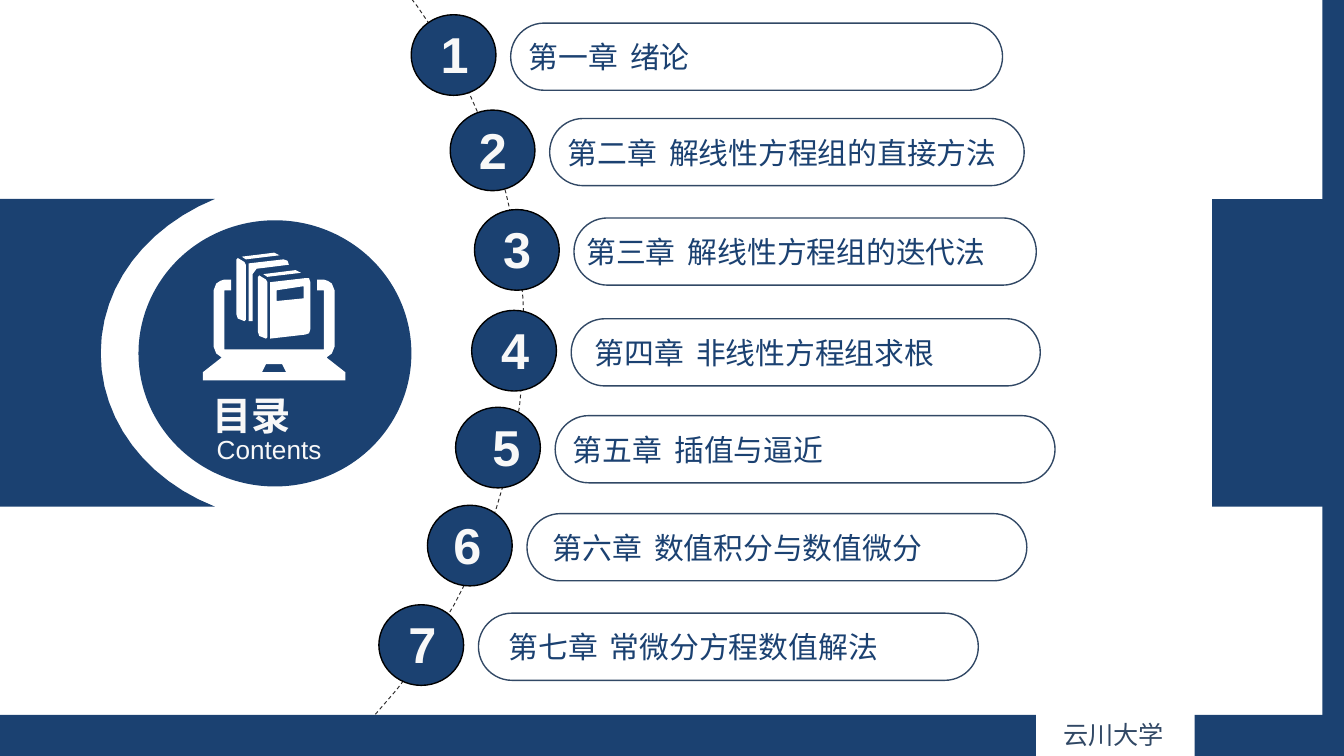
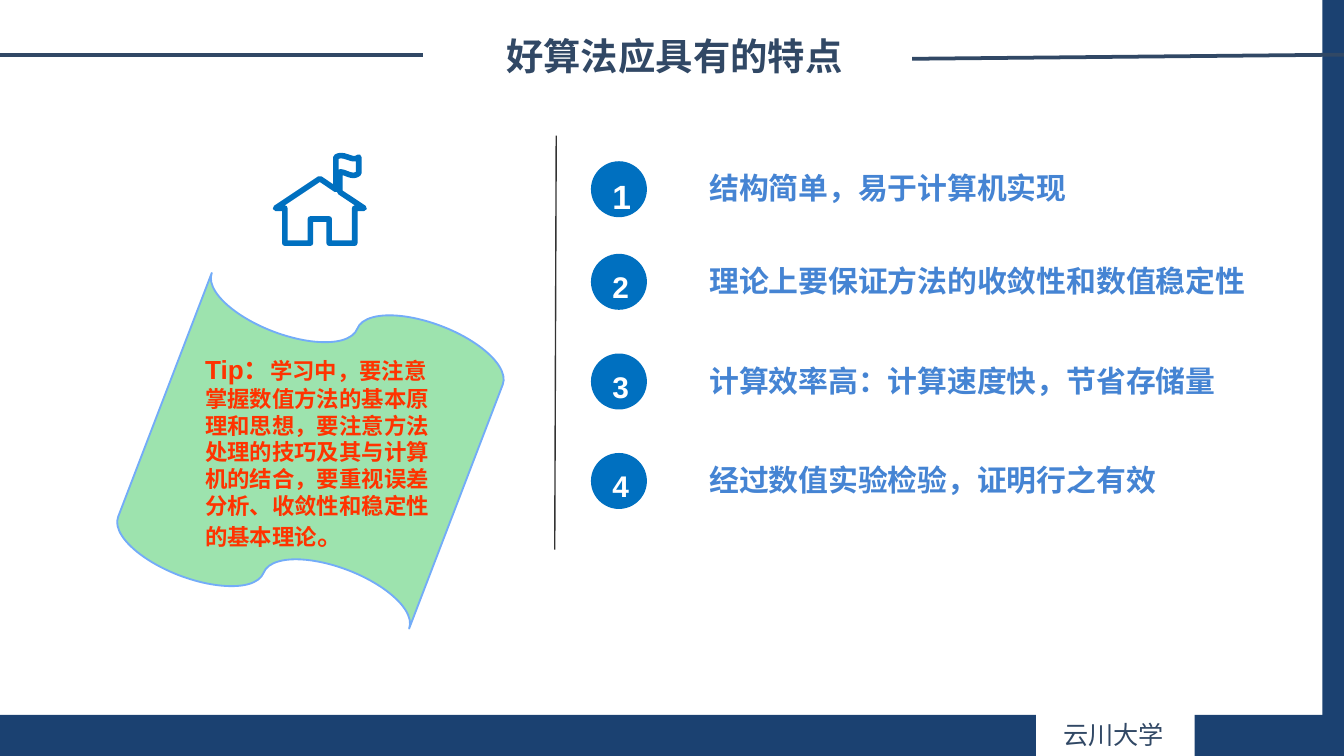
from lxml import etree
from pptx import Presentation
from pptx.dml.color import RGBColor
from pptx.enum.dml import MSO_LINE
from pptx.enum.shapes import MSO_CONNECTOR, MSO_SHAPE
from pptx.enum.text import MSO_ANCHOR, MSO_AUTO_SIZE, PP_ALIGN
from pptx.oxml.ns import qn
from pptx.util import Pt

RECTANGLE = MSO_SHAPE.RECTANGLE
PILL = MSO_SHAPE.ROUNDED_RECTANGLE
OVAL = MSO_SHAPE.OVAL
TAPE = MSO_SHAPE.FLOWCHART_PUNCHED_TAPE
STRAIGHT = MSO_CONNECTOR.STRAIGHT
DASH = MSO_LINE.DASH
TOP = MSO_ANCHOR.TOP
GROW = MSO_AUTO_SIZE.SHAPE_TO_FIT_TEXT
LEFT = PP_ALIGN.LEFT
CENTER = PP_ALIGN.CENTER

NAVY = RGBColor(0x1B, 0x41, 0x71)
SLATE = RGBColor(0x31, 0x48, 0x65)
BLUE = RGBColor(0x00, 0x70, 0xC0)
SKY = RGBColor(0x45, 0x84, 0xD3)
PALE_BLUE = RGBColor(0x73, 0xAC, 0xF8)
GREEN = RGBColor(0x9D, 0xE3, 0xAE)
RED = RGBColor(0xFF, 0x33, 0x00)
WHITE = RGBColor(0xFF, 0xFF, 0xFF)
OFF_WHITE = RGBColor(0xF8, 0xF8, 0xF8)
BLACK = RGBColor(0x00, 0x00, 0x00)
CHARCOAL = RGBColor(0x2E, 0x2C, 0x2C)
DARK_GRAY = RGBColor(0x33, 0x33, 0x33)

LATIN = "Arial"
CHINESE = "Noto Sans CJK SC"
SLIDE_WIDTH, SLIDE_HEIGHT = 720, 405
GRID = 0.72
CURVE_STEPS = 12
TIGHT = {"margin_left": Pt(6.75), "margin_right": Pt(6.75),
         "margin_top": Pt(3.4), "margin_bottom": Pt(3.4)}
ONE_LINE = {"word_wrap": False, "auto_size": GROW}
WRAPPED = {"word_wrap": True, "auto_size": GROW}


def paint(shape, fill=None, line=None, width=0.75):
    shape.shadow.inherit = False
    if fill is None:
        shape.fill.background()
    else:
        shape.fill.solid()
        shape.fill.fore_color.rgb = fill
    if line is None:
        shape.line.fill.background()
    else:
        shape.line.color.rgb = line
        shape.line.width = Pt(width)
    return shape


def write(shape, runs, color, frame, bold=False, font=LATIN, alignment=LEFT):
    for name, value in ({"vertical_anchor": TOP} | frame).items():
        setattr(shape.text_frame, name, value)
    paragraph = shape.text_frame.paragraphs[0]
    paragraph.alignment = alignment
    for text, size in runs:
        run = paragraph.add_run()
        run.text = text
        for name, value in {"size": Pt(size), "bold": bold, "name": font}.items():
            setattr(run.font, name, value)
        run.font.color.rgb = color
    for (text, size), properties in zip(runs, shape.element.iter(qn("a:rPr"))):
        etree.SubElement(properties, qn("a:ea")).set("typeface", CHINESE)
        if text == " ":
            properties.set("spc", "290")


presentation = Presentation()
presentation.slide_width = Pt(SLIDE_WIDTH)
presentation.slide_height = Pt(SLIDE_HEIGHT)
layout = presentation.slide_layouts[6]
for placeholder in list(layout.placeholders):
    layout.shapes.element.remove(placeholder.element)
contents = presentation.slides.add_slide(layout)
features = presentation.slides.add_slide(layout)

side_width, band_top = 11.5, 383
gap_left, gap_right = 555, 640
shared = []
for left, top, right in [
    (SLIDE_WIDTH - side_width, 0, SLIDE_WIDTH),
    (0, band_top, gap_left),
    (gap_right, band_top, SLIDE_WIDTH),
]:
    band = contents.shapes.add_shape(
        RECTANGLE, Pt(left), Pt(top), Pt(right - left), Pt(SLIDE_HEIGHT - top))
    shared.append(paint(band, NAVY))
footer = contents.shapes.add_textbox(Pt(562.6), Pt(381.6), Pt(69), Pt(23.8))
write(footer, [("云川大学", 13.5)], SLATE, ONE_LINE, font=CHINESE)
shared.append(footer)
for shape in shared:
    layout.shapes.element.append(shape.element)

block_left, block_top, block_height = 649.4, 106.6, 164.9
side_block = contents.shapes.add_shape(
    RECTANGLE, Pt(block_left), Pt(block_top), Pt(SLIDE_WIDTH - block_left), Pt(block_height))
paint(side_block, NAVY)
medallion = contents.shapes.add_shape(OVAL, Pt(74.2), Pt(118), Pt(146.2), Pt(142.6))
paint(medallion, NAVY)

crescent = [(160, 377), (0, 377), (0, 148), (160, 148),
            (109, 169, 75, 212, 75, 263), (75, 313, 109, 357, 160, 377)]
arc = [(278, -35), (348, 41, 390, 140, 390, 249), (390, 357, 348, 457, 278, 533)]

top_edge = [(180, 191), (183, 193), (208, 190), (204, 188)]
spine = [(177, 192), (182, 195), (183, 197), (183, 238), (182, 239), (177, 237),
         (176, 234), (176, 193)]
books = [
    [(x + shift_x, y + shift_y) for x, y in part]
    for shift_x, shift_y in [(0, 0), (16, 13)]
    for part in (top_edge, spine)
]
rear_cover = [(185, 196), (211, 193), (214, 194), (215, 197), (191, 200), (188, 204),
              (188, 239), (185, 239)]
front_cover = [(201, 210), (227, 207), (230, 207), (231, 210), (231, 245), (230, 248),
               (227, 249), (201, 252)]
cover_label = [(206, 216), (226, 213), (226, 222), (206, 224)]

laptop_axis = 204
half_touchpad = [(198, 271), (195, 277)]
half_laptop = [(167, 260), (167, 216), (172, 216), (172, 208), (167, 208), (164, 209),
               (161, 211), (159, 216), (159, 258), (161, 263), (165, 266), (151, 277),
               (151, 283)]
touchpad, laptop = [
    half + [(2 * laptop_axis - x, y) for x, y in reversed(half)]
    for half in (half_touchpad, half_laptop)
]
study_icon = books + [rear_cover, front_cover, cover_label, touchpad, laptop]

house_axis = 238
half_house = [(205, 155), (212, 155), (212, 181), (231, 181), (231, 163)]
flag = [(253, 143), (253, 128), (258, 128, 262, 133, 267, 129), (267, 117),
        (262, 121, 256, 113, 250, 117), (250, 141)]
house = (flag + [(house_axis, 133)] + half_house
         + [(2 * house_axis - x, y) for x, y in reversed(half_house)])

for slide, contours, closed, colors in [
    (contents, [crescent], True, {"fill": NAVY}),
    (contents, [arc], False, {"line": CHARCOAL, "width": 0.5}),
    (contents, study_icon, True, {"fill": WHITE}),
    (features, [house], True, {"fill": WHITE, "line": BLUE, "width": 3}),
]:
    builder = None
    for contour in contours:
        points = [contour[0]]
        for segment in contour[1:]:
            if len(segment) == 2:
                points.append(segment)
                continue
            controls = points[-1] + segment
            for step in range(1, CURVE_STEPS + 1):
                t = step / CURVE_STEPS
                weights = ((1 - t) ** 3, 3 * t * (1 - t) ** 2, 3 * t * t * (1 - t), t ** 3)
                points.append(tuple(
                    sum(weight * value for weight, value in zip(weights, controls[axis::2]))
                    for axis in (0, 1)))
        points = [(Pt(x * GRID), Pt(y * GRID)) for x, y in points]
        if builder is None:
            builder = slide.shapes.build_freeform(*points[0])
        else:
            builder.move_to(*points[0])
        builder.add_line_segments(points[1:], close=closed)
    outline = paint(builder.convert_to_shape(), **colors)
    if not closed:
        outline.line.dash_style = DASH

heading = contents.shapes.add_textbox(Pt(107.3), Pt(206), Pt(72), Pt(31.7))
write(heading, [("目录", 21)], OFF_WHITE, WRAPPED | TIGHT, bold=True)
subheading = contents.shapes.add_textbox(Pt(109.4), Pt(229), Pt(69.8), Pt(23))
write(subheading, [("Contents", 14)], OFF_WHITE, ONE_LINE | TIGHT)

circle_width, circle_height = 45.4, 43.2
pill_offset, pill_drop, pill_height = 53.3, 4.5, 36
label_drop, digit_drop = 9.5, 1.3
chapters = [
    ("第一章", "绪论", 220.3, 7.9, 263.5, 56.2, 9),
    ("第二章", "解线性方程组的直接方法", 241.2, 59, 254.2, 56.2, 8.6),
    ("第三章", "解线性方程组的迭代法", 254.2, 112.3, 247.7, 53.2, 8.6),
    ("第四章", "非线性方程组求根", 252.7, 166.3, 251.3, 59.1, 9),
    ("第五章", "插值与逼近", 244.1, 218.2, 267.8, 56.1, 12.9),
    ("第六章", "数值积分与数值微分", 229, 270.7, 267.8, 60.4, 7.2),
    ("第七章", "常微分方程数值解法", 203, 324, 267.8, 62.7, 9),
]
for number, row in enumerate(chapters, 1):
    chapter, topic, left, top, pill_width, label_offset, digit_offset = row
    circle = contents.shapes.add_shape(
        OVAL, Pt(left), Pt(top), Pt(circle_width), Pt(circle_height))
    paint(circle, NAVY, BLACK)
    pill = contents.shapes.add_shape(
        PILL, Pt(left + pill_offset), Pt(top + pill_drop), Pt(pill_width), Pt(pill_height))
    pill.adjustments[0] = 0.5
    paint(pill, line=SLATE)
    label = contents.shapes.add_textbox(
        Pt(left + label_offset), Pt(top + label_drop), Pt(337.7), Pt(26))
    write(label, [(chapter, 16), (" ", 16), (topic, 16)], NAVY, WRAPPED | TIGHT)
    digit = contents.shapes.add_textbox(
        Pt(left + digit_offset), Pt(top + digit_drop), Pt(26.6), Pt(39.6))
    write(digit, [(str(number), 27)], OFF_WHITE, ONE_LINE | TIGHT, bold=True)

title_rule_left = (0, 29.3, 226.8, 29.3)
title_rule_right = (488.7, 31.5, SLIDE_WIDTH, 29.3)
divider = (298, 72.7, 297.2, 294.5)
for ends, color, width in [
    (title_rule_left, SLATE, 2),
    (title_rule_right, SLATE, 2),
    (divider, DARK_GRAY, 0.75),
]:
    connector = features.shapes.add_connector(STRAIGHT, *map(Pt, ends))
    connector.line.color.rgb = color
    connector.line.width = Pt(width)
    etree.SubElement(connector.element.spPr, qn("a:effectLst"))

title = features.shapes.add_textbox(Pt(217.4), Pt(14.4), Pt(288), Pt(31.7))
write(title, [("好算法应具有的特点", 20)], SLATE, WRAPPED, bold=True, alignment=CENTER)

badge_left, badge_size = 316.6, 30
feature_left, feature_drop = 373, 1.2
for number, (text, digit_size, top) in enumerate([
    ("结构简单，易于计算机实现", 18, 86.4),
    ("理论上要保证方法的收敛性和数值稳定性", 16, 136),
    ("计算效率高：计算速度快，节省存储量", 16, 189.4),
    ("经过数值实验检验，证明行之有效", 16, 242.7),
], 1):
    badge = features.shapes.add_shape(
        OVAL, Pt(badge_left), Pt(top), Pt(badge_size), Pt(badge_size))
    paint(badge, BLUE)
    write(badge, [(str(number), digit_size)], WHITE, {"word_wrap": True}, bold=True)
    feature = features.shapes.add_textbox(
        Pt(feature_left), Pt(top + feature_drop), Pt(309.6), Pt(26.6))
    write(feature, [(text, 16)], SKY, WRAPPED, bold=True, font=CHINESE)

tape = features.shapes.add_shape(TAPE, Pt(82.8), Pt(154), Pt(167), Pt(175))
tape.rotation = 21
paint(tape, GREEN, PALE_BLUE, 1)
tip = features.shapes.add_textbox(Pt(102.8), Pt(185.8), Pt(139.7), Pt(129.6))
advice = ("学习中，要注意掌握数值方法的基本原理和思想，要注意方法处理的技巧及其与计算机的结合，"
          "要重视误差分析、收敛性和稳定性的基本理论")
write(tip, [("Tip：", 14), (advice, 12), ("。", 14)], RED, WRAPPED, bold=True, font=CHINESE)
tip.text_frame.paragraphs[0].runs[0].font.name = LATIN

presentation.save("out.pptx")
